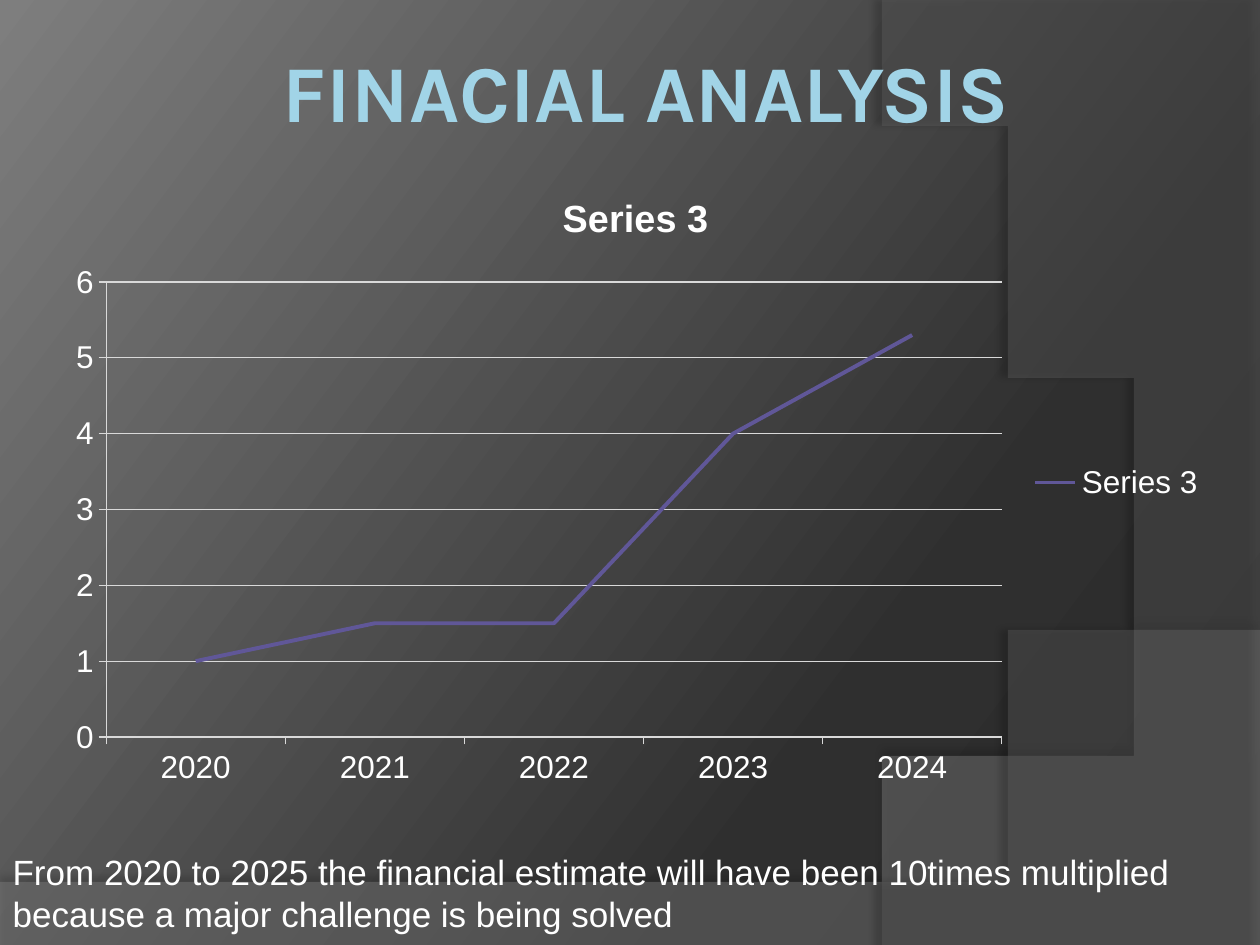
from copy import deepcopy

from lxml import etree
from pptx import Presentation
from pptx.chart.data import CategoryChartData
from pptx.dml.color import RGBColor
from pptx.enum.chart import XL_CHART_TYPE, XL_LEGEND_POSITION, XL_TICK_MARK
from pptx.enum.text import MSO_ANCHOR, MSO_AUTO_SIZE, PP_ALIGN
from pptx.oxml.ns import qn
from pptx.util import Inches, Pt

LINE_CHART = XL_CHART_TYPE.LINE
LEGEND_RIGHT = XL_LEGEND_POSITION.RIGHT
TICK_OUTSIDE = XL_TICK_MARK.OUTSIDE
MIDDLE, BOTTOM = MSO_ANCHOR.MIDDLE, MSO_ANCHOR.BOTTOM
LEFT, CENTER = PP_ALIGN.LEFT, PP_ALIGN.CENTER
NO_AUTOFIT = MSO_AUTO_SIZE.NONE

WHITE = RGBColor(0xFF, 0xFF, 0xFF)
LIGHT_GRAY = RGBColor(0xD9, 0xD9, 0xD9)
WAVE_GRAY = RGBColor(0x7F, 0x7F, 0x7F)
ARC_GRAY = RGBColor(0x5E, 0x5E, 0x5E)
SKY = RGBColor(0xA1, 0xD4, 0xE7)
TEAL = RGBColor(0x58, 0x80, 0x8D)
OUTLINE_BLUE = RGBColor(0x5D, 0xD4, 0xFF)
PURPLE = RGBColor(0x60, 0x57, 0x98)

BACKGROUND_STOPS = [(0, RGBColor(0x28, 0x28, 0x28)),
                    (0.3, RGBColor(0x2F, 0x2F, 0x2F)),
                    (1, RGBColor(0x7E, 0x7E, 0x7E))]
TITLE_STOPS = [(0, SKY), (0.09, SKY), (0.53, TEAL), (0.9, SKY), (1, SKY)]


def set_format(target, values):
    for name, value in values.items():
        setattr(target, name, value)


def set_gradient(fill, parent, stops, angle):
    """Fill with any number of stops; the angle runs counter-clockwise."""
    fill.gradient()
    fill.gradient_angle = angle
    stop_list = next(parent.iter(qn("a:gsLst")))
    for _ in range(len(stops) - len(stop_list)):
        stop_list.append(deepcopy(stop_list[0]))
    for stop, (position, color) in zip(fill.gradient_stops, stops):
        stop.position = position
        stop.color.rgb = color


def add_color(parent, color, alpha=100):
    element = etree.SubElement(parent, qn("a:srgbClr"), val=str(color))
    if alpha < 100:
        etree.SubElement(element, qn("a:alpha"), val=str(alpha * 1000))


def curve(start, control_1, control_2, end, steps=48):
    """Points along a cubic Bezier curve."""
    points = []
    for step in range(steps + 1):
        t = step / steps
        weights = ((1 - t) ** 3, 3 * t * (1 - t) ** 2, 3 * t * t * (1 - t), t ** 3)
        corners = (start, control_1, control_2, end)
        points.append(tuple(sum(w * c[axis] for w, c in zip(weights, corners))
                            for axis in (0, 1)))
    return points


def add_swoosh(slide, points, color, alpha, shadow_alpha, distance, direction):
    builder = slide.shapes.build_freeform(*points[0], scale=Inches(1))
    builder.add_line_segments(points[1:], close=True)
    shape = builder.convert_to_shape()
    shape.line.fill.background()
    shape.fill.solid()
    shape.fill.fore_color.rgb = color
    color_element = next(shape.element.spPr.iter(qn("a:srgbClr")))
    etree.SubElement(color_element, qn("a:alpha"), val=str(alpha * 1000))
    # Soft shadow along the curved edge
    shape.shadow.inherit = False
    effects = shape.element.spPr.find(qn("a:effectLst"))
    shadow = etree.SubElement(effects, qn("a:outerShdw"), blurRad=str(Pt(4)),
                              dist=str(Pt(distance)), dir=str(direction * 60000))
    add_color(shadow, "000000", shadow_alpha)


def add_backdrop(slide):
    set_gradient(slide.background.fill, slide.element, BACKGROUND_STOPS, 143)
    wave = [(0, 7.5), (10, 7.5)] + curve((10, 5.2), (5.59, 7.29), (3.91, 7.19), (0, 7.05))
    arc = [(10, 0.02), (10, 7.5)] + curve((7.03, 7.5), (8.91, 6.19), (9.47, 2.75), (6.68, 0))
    add_swoosh(slide, wave, WAVE_GRAY, 45, 35, 3.5, 270)
    add_swoosh(slide, arc, ARC_GRAY, 40, 45, 4, 180)


def place_text(shape, box, text, frame_format, paragraph_format, font_format):
    """Position a placeholder, write its text and return the run."""
    set_format(shape, dict(zip(("left", "top", "width", "height"), box)))
    frame = shape.text_frame
    set_format(frame, {"word_wrap": True, "auto_size": NO_AUTOFIT, **frame_format})
    paragraph = frame.paragraphs[0]
    set_format(paragraph, paragraph_format)
    run = paragraph.add_run()
    run.text = text
    set_format(run.font, font_format)
    return run


def add_title(slide, box):
    margins = dict.fromkeys(
        ("margin_left", "margin_top", "margin_right", "margin_bottom"), Inches(0.05))
    run = place_text(slide.shapes.title, box, "FINACIAL ANALYSIS",
                     {"vertical_anchor": MIDDLE, **margins}, {"alignment": CENTER},
                     {"name": "Karla", "size": Pt(46), "bold": True})
    properties = run.font._element
    set_gradient(run.font.fill, properties, TITLE_STOPS, 270)
    # Thin letter outline
    outline = etree.Element(qn("a:ln"), w=str(Pt(0.39)))
    add_color(etree.SubElement(outline, qn("a:solidFill")), OUTLINE_BLUE)
    properties.insert(0, outline)


def add_caption(slide, box):
    run = place_text(
        slide.placeholders[1], box,
        "From 2020 to 2025 the financial estimate will have been 10times "
        "multiplied because a major challenge is being solved",
        {"vertical_anchor": BOTTOM, "margin_left": Inches(0.1), "margin_top": 0,
         "margin_right": Inches(0.05), "margin_bottom": 0},
        {"alignment": LEFT, "space_before": Pt(4)},
        {"name": "Arial", "size": Pt(20)})
    run.font.color.rgb = WHITE


def add_estimate_chart(slide, box):
    data = CategoryChartData()
    data.categories = ["2020", "2021", "2022", "2023", "2024"]
    data.add_series("Series 3", [1, 1.5, 1.5, 4, 5.3])
    chart = slide.shapes.add_chart(LINE_CHART, *box, data).chart
    set_format(chart.font, {"name": "Arial", "size": Pt(18)})
    chart.font.color.rgb = WHITE

    # Title and legend
    chart.has_title = True
    title_frame = chart.chart_title.text_frame
    title_frame.text = "Series 3"
    title_font = title_frame.paragraphs[0].runs[0].font
    set_format(title_font, {"name": "Arial", "size": Pt(21.6), "bold": True})
    title_font.color.rgb = WHITE
    chart.has_legend = True
    set_format(chart.legend, {"position": LEGEND_RIGHT, "include_in_layout": False})

    # Axes and gridlines
    set_format(chart.value_axis, {"minimum_scale": 0, "maximum_scale": 6,
                                  "major_unit": 1, "has_major_gridlines": True})
    for axis in (chart.category_axis, chart.value_axis):
        axis.major_tick_mark = TICK_OUTSIDE
    for part in (chart.category_axis, chart.value_axis, chart.value_axis.major_gridlines):
        part.format.line.color.rgb = LIGHT_GRAY
        part.format.line.width = Pt(0.75)

    # Series line
    plot = chart.plots[0]
    plot.vary_by_categories = False
    series = plot.series[0]
    series.smooth = False
    series.format.line.color.rgb = PURPLE
    series.format.line.width = Pt(2.25)


def main():
    presentation = Presentation()
    set_format(presentation, {"slide_width": Inches(10), "slide_height": Inches(7.5)})
    slide = presentation.slides.add_slide(presentation.slide_layouts[0])
    add_backdrop(slide)
    # Keep the placeholders in front of the backdrop
    for placeholder in list(slide.placeholders):
        slide.shapes._spTree.append(placeholder.element)
    add_title(slide, [Inches(n) for n in (1.58, 0.25, 7.09, 0.93)])
    add_caption(slide, [Inches(n) for n in (0, 6.5, 9.83, 0.92)])
    add_estimate_chart(slide, [Inches(n) for n in (0.42, 1.33, 9.25, 5)])
    presentation.save("out.pptx")


if __name__ == "__main__":
    main()
